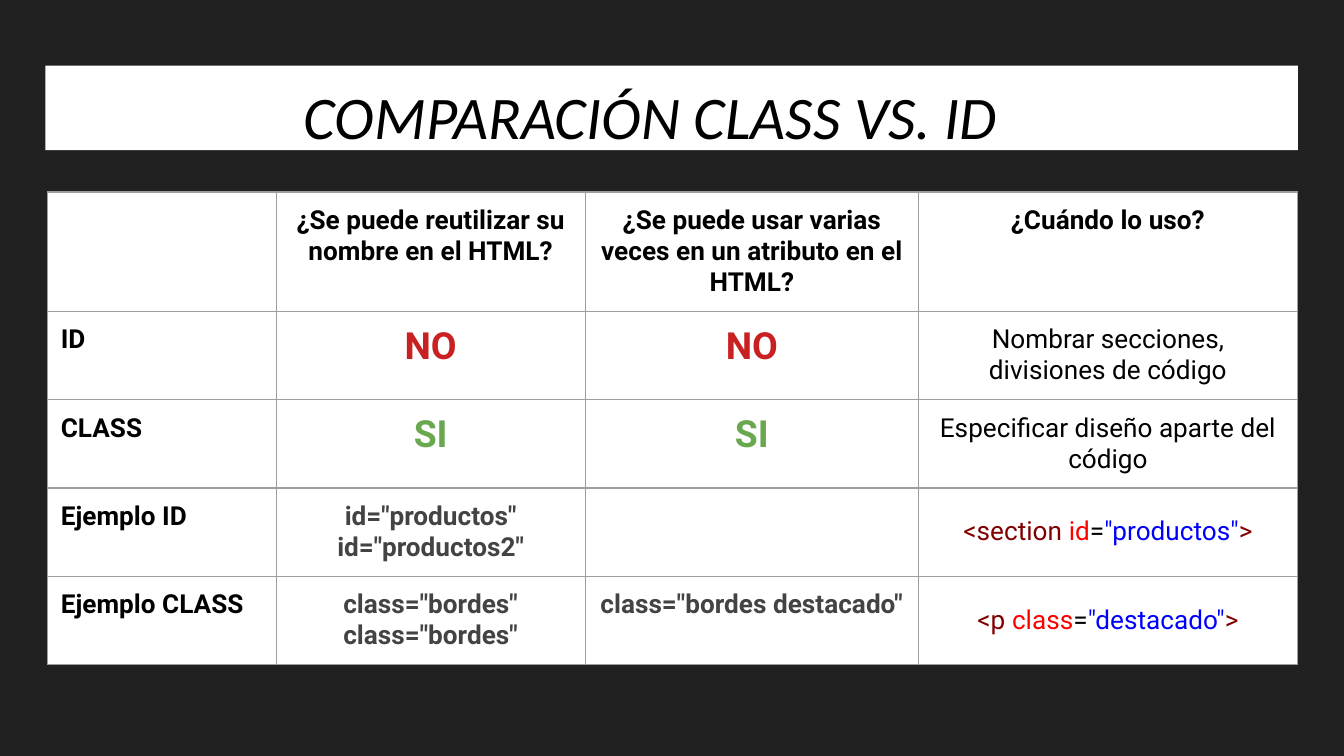
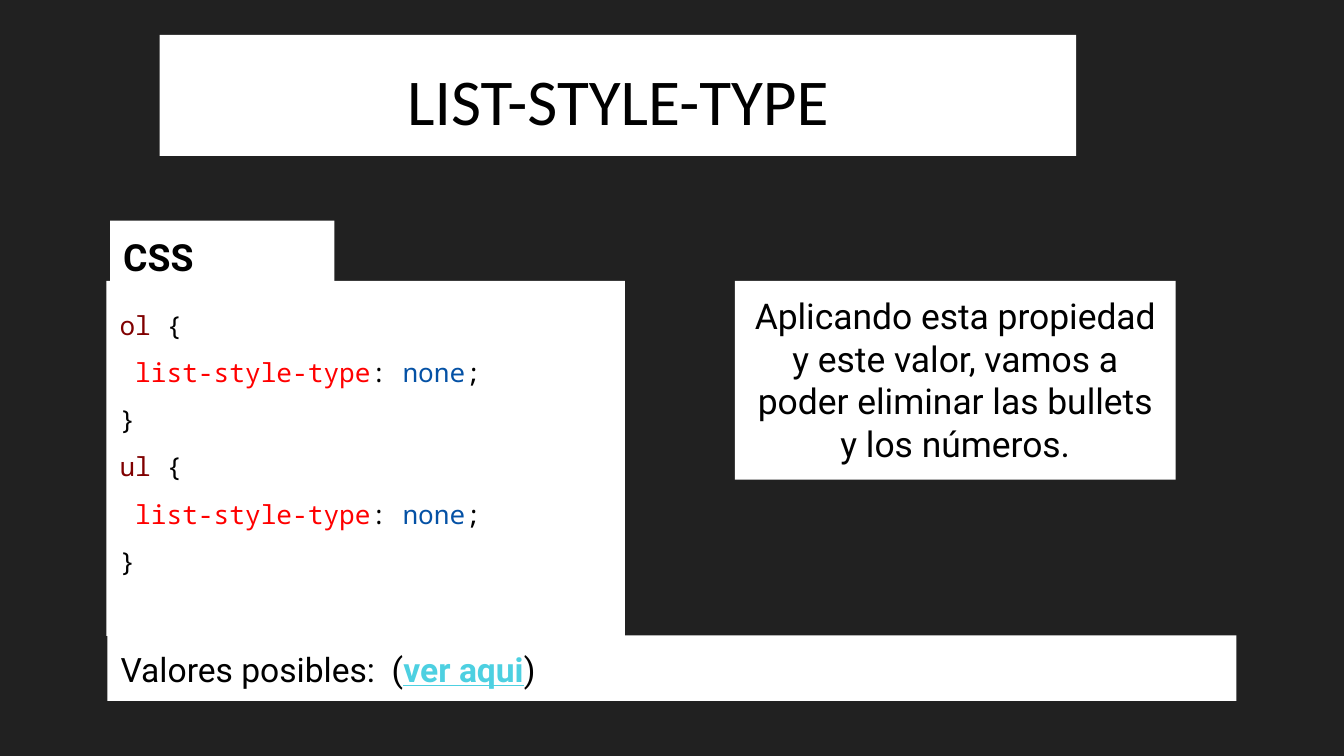
from typing import NamedTuple

from lxml.etree import SubElement
from pptx import Presentation
from pptx.dml.color import RGBColor
from pptx.enum.shapes import MSO_SHAPE
from pptx.enum.text import MSO_ANCHOR, MSO_AUTO_SIZE, PP_ALIGN
from pptx.oxml.ns import qn
from pptx.util import Cm, Pt

BACKGROUND = RGBColor(0x21, 0x21, 0x21)
WHITE = RGBColor(0xFF, 0xFF, 0xFF)
BLACK = RGBColor(0x00, 0x00, 0x00)
BORDER = RGBColor(0x9E, 0x9E, 0x9E)
GREY = RGBColor(0x43, 0x43, 0x43)
NO_RED = RGBColor(0xC9, 0x21, 0x21)
YES_GREEN = RGBColor(0x6A, 0xA8, 0x4F)
TAG = RGBColor(0x80, 0x00, 0x00)
PROPERTY = RGBColor(0xFF, 0x00, 0x00)
STRING = RGBColor(0x00, 0x00, 0xFF)
VALUE = RGBColor(0x04, 0x51, 0xA5)
LINK = RGBColor(0x4D, 0xD0, 0xE1)

TITLE_FONT = "Calibri"
BODY_FONT = "Roboto"
CODE_FONT = "Noto Sans Mono"
INSET = Cm(0.25)


class Piece(NamedTuple):
    """A stretch of text in one style."""
    text: str
    color: RGBColor = BLACK
    bold: bool = False
    italic: bool = False
    underline: bool = False


def write_lines(text_frame, lines, size, font=BODY_FONT, align=PP_ALIGN.LEFT,
                spacing=None):
    """Write each list of pieces as one paragraph."""
    for index, pieces in enumerate(lines):
        paragraph = text_frame.paragraphs[0] if index == 0 else text_frame.add_paragraph()
        paragraph.alignment = align
        if spacing:
            paragraph.line_spacing = spacing
        for piece in pieces:
            run = paragraph.add_run()
            run.text = piece.text
            run.font.name = font
            run.font.size = Pt(size)
            run.font.bold = piece.bold
            run.font.italic = piece.italic
            run.font.underline = piece.underline
            run.font.color.rgb = piece.color


def add_dark_slide(presentation):
    """Add a blank slide with the dark background."""
    slide = presentation.slides.add_slide(presentation.slide_layouts[6])
    slide.background.fill.solid()
    slide.background.fill.fore_color.rgb = BACKGROUND
    return slide


def add_panel(slide, left, top, width, height, lines, size, **text_style):
    """Add a white rectangle with text and return its text frame."""
    shape = slide.shapes.add_shape(MSO_SHAPE.RECTANGLE, Cm(left), Cm(top),
                                   Cm(width), Cm(height))
    shape.shadow.inherit = False
    shape.fill.solid()
    shape.fill.fore_color.rgb = WHITE
    shape.line.fill.background()
    frame = shape.text_frame
    frame.word_wrap = True
    frame.vertical_anchor = MSO_ANCHOR.TOP
    frame.margin_left = frame.margin_right = INSET
    frame.margin_top = frame.margin_bottom = INSET
    write_lines(frame, lines, size, **text_style)
    return frame


def add_title(slide, left, top, width, height, title, size, spacing=None):
    """Add the white title band with centred text."""
    return add_panel(slide, left, top, width, height, [[title]], size,
                     font=TITLE_FONT, align=PP_ALIGN.CENTER, spacing=spacing)


def set_borders(cell):
    """Draw a thin grey line on all four sides of a cell."""
    properties = cell._tc.get_or_add_tcPr()
    for index, side in enumerate(("a:lnL", "a:lnR", "a:lnT", "a:lnB")):
        line = properties.makeelement(qn(side), {"w": str(Pt(0.75))})
        fill = SubElement(line, qn("a:solidFill"))
        SubElement(fill, qn("a:srgbClr"), val=str(BORDER))
        properties.insert(index, line)


def tag_line(tag, attribute, value):
    """Return the coloured pieces of an HTML opening tag."""
    return [Piece(f"<{tag}", TAG), Piece(" "), Piece(attribute, PROPERTY),
            Piece("="), Piece(f'"{value}"', STRING), Piece(">", TAG)]


def rule_lines(selector):
    """Return the coloured lines of a CSS rule that removes list markers."""
    return [
        [Piece(selector, TAG), Piece(" {")],
        [Piece(" "), Piece("list-style-type", PROPERTY), Piece(": "),
         Piece("none", VALUE), Piece(";")],
        [Piece("}")],
    ]


def add_comparison_table(slide):
    """Add the table that compares ID with CLASS."""
    def bold(text, color=BLACK):
        return [Piece(text, color, bold=True)]

    no, yes = bold("NO", NO_RED), bold("SI", YES_GREEN)
    rows = [
        [[], [bold("¿Se puede reutilizar su nombre en el HTML?")],
         [bold("¿Se puede usar varias veces en un atributo en el HTML?")],
         [bold("¿Cuándo lo uso?")]],
        [[bold("ID")], [no], [no],
         [[Piece("Nombrar secciones, divisiones de código")]]],
        [[bold("CLASS")], [yes], [yes],
         [[Piece("Especificar diseño aparte del código")]]],
        [[bold("Ejemplo ID")],
         [bold('id="productos"', GREY), bold('id="productos2"', GREY)], [],
         [tag_line("section", "id", "productos")]],
        [[bold("Ejemplo CLASS")], [bold('class="bordes"', GREY)] * 2,
         [bold('class="bordes destacado"', GREY)],
         [tag_line("p", "class", "destacado")]],
    ]
    widths = [4.32, 5.84, 6.3, 7.16]
    heights = [2.24] + [1.67] * 4
    table = slide.shapes.add_table(len(rows), len(widths), Cm(0.9), Cm(3.63),
                                   Cm(sum(widths)), Cm(sum(heights))).table
    table.first_row = table.horz_banding = False
    for column, width in zip(table.columns, widths):
        column.width = Cm(width)
    for row, height in zip(table.rows, heights):
        row.height = Cm(height)
    for row_index, row in enumerate(rows):
        for column_index, lines in enumerate(row):
            cell = table.cell(row_index, column_index)
            cell.fill.solid()
            cell.fill.fore_color.rgb = WHITE
            cell.margin_left = cell.margin_right = INSET
            cell.margin_top = cell.margin_bottom = INSET
            set_borders(cell)
            is_answer = lines in ([no], [yes])
            is_tag = row_index >= 3 and column_index == 3
            write_lines(cell.text_frame, lines, 20 if is_answer else 14,
                        align=PP_ALIGN.CENTER if column_index else PP_ALIGN.LEFT,
                        spacing=1.5 if is_tag else None)


def build_comparison_slide(presentation):
    """Build the slide that compares class and id."""
    slide = add_dark_slide(presentation)
    frame = add_title(slide, 0.86, 1.24, 23.67, 1.6,
                      Piece("COMPARACIÓN CLASS VS. ID", italic=True), 32.4)
    frame.margin_right = Cm(1.05)
    add_comparison_table(slide)


def build_list_style_slide(presentation):
    """Build the slide about list-style-type."""
    slide = add_dark_slide(presentation)
    frame = add_title(slide, 3.02, 0.66, 17.32, 2.29,
                      Piece("LIST-STYLE-TYPE"), 35, spacing=1.15)
    frame.paragraphs[0].space_before = Pt(20)
    frame.paragraphs[0].space_after = Pt(6)
    add_panel(slide, 2.01, 5.31, 9.8, 6.71, rule_lines("ol") + rule_lines("ul"),
              14, font=CODE_FONT, spacing=1.5)
    add_panel(slide, 2.08, 4.17, 4.24, 1.24, [[Piece("CSS", bold=True)]], 20)
    add_panel(slide, 2.03, 12.01, 21.34, 1.24,
              [[Piece("Valores posibles:  ("),
                Piece("ver aqui", LINK, bold=True, underline=True),
                Piece(")")]], 18)
    note = add_panel(slide, 13.89, 5.31, 8.33, 3.76,
                     [[Piece("Aplicando esta propiedad y este valor, vamos a poder "
                             "eliminar las bullets y los números.")]],
                     19, align=PP_ALIGN.CENTER)
    note.auto_size = MSO_AUTO_SIZE.SHAPE_TO_FIT_TEXT


def main():
    """Build the presentation and save it."""
    presentation = Presentation()
    presentation.slide_width = Cm(25.4)
    presentation.slide_height = Cm(14.29)
    build_comparison_slide(presentation)
    build_list_style_slide(presentation)
    presentation.save("out.pptx")


main()
